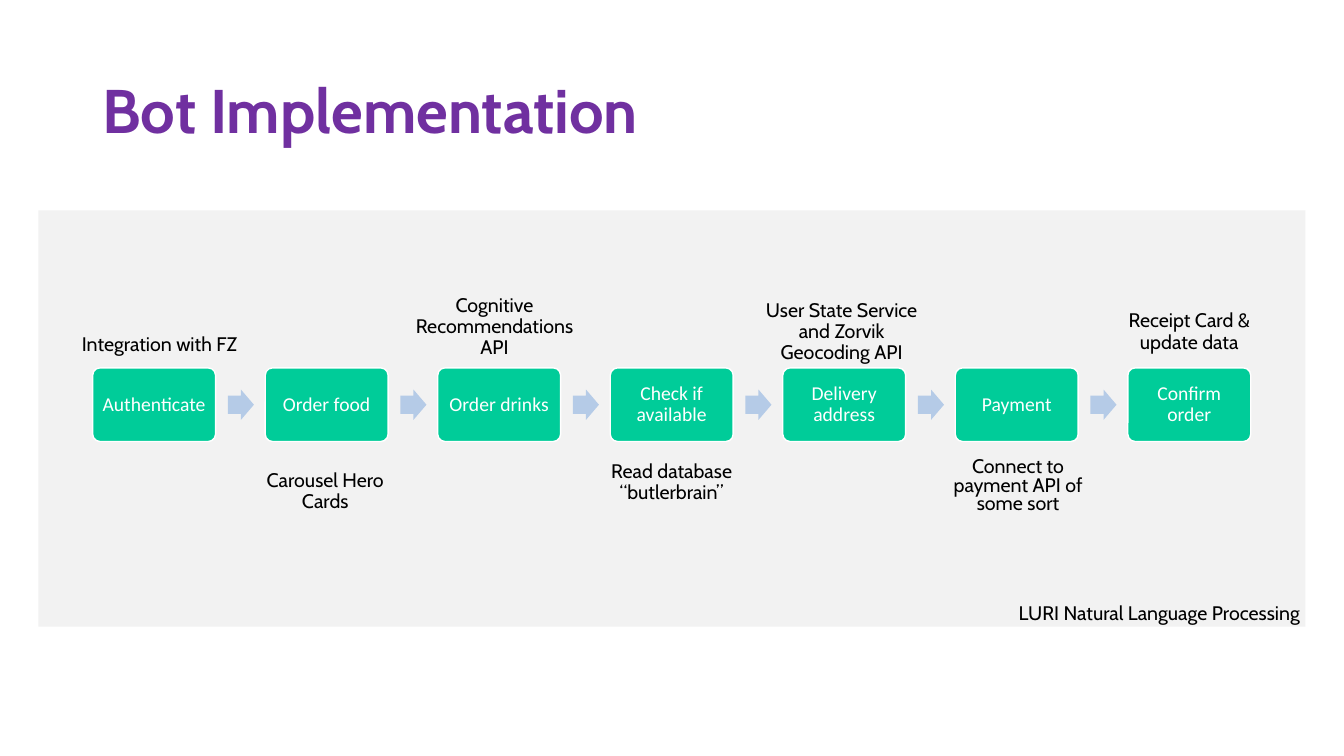
from pptx import Presentation
from pptx.dml.color import RGBColor
from pptx.enum.shapes import MSO_SHAPE
from pptx.enum.text import MSO_ANCHOR, PP_ALIGN
from pptx.util import Pt

RECT = MSO_SHAPE.RECTANGLE
ROUNDED = MSO_SHAPE.ROUNDED_RECTANGLE
ARROW = MSO_SHAPE.RIGHT_ARROW
MIDDLE = MSO_ANCHOR.MIDDLE
CENTER = PP_ALIGN.CENTER
LEFT = PP_ALIGN.LEFT

# Step label, note, note centre relative to step centre (points), line spacing
STEPS = [
    ("Authenticate", "Integration with FZ", 4, -42.5, 0.9),
    ("Order food", "Carousel Hero Cards", -1, 62.3, 0.9),
    ("Order drinks", "Cognitive Recommendations API", -3.3, -55.4, 0.9),
    ("Check if available", "Read database “butlerbrain”", 0, 55.4, 0.9),
    ("Delivery address", "User State Service and Zorvik Geocoding API",
     -1.8, -51.8, 0.9),
    ("Payment", "Connect to payment API of some sort", 1, 58.3, 0.8),
    ("Confirm order", "Receipt Card & update data", 0, -51.8, 0.9),
]


def color(value):
    return RGBColor.from_string(value)


def add_block(slide, kind, x, y, w, h, fill, line=None):
    sp = slide.shapes.add_shape(kind, Pt(x), Pt(y), Pt(w), Pt(h))
    sp.shadow.inherit = False
    sp.fill.solid()
    sp.fill.fore_color.rgb = color(fill)
    if line:
        sp.line.color.rgb = color(line)
        sp.line.width = Pt(1)
    else:
        sp.line.fill.background()
    return sp


def write(sp, text, font, size, ink, align=CENTER, spacing=0.9, bold=False):
    tf = sp.text_frame
    tf.word_wrap = True
    tf.vertical_anchor = MIDDLE
    p = tf.paragraphs[0]
    p.text = text
    p.alignment = align
    p.line_spacing = spacing
    p.font.name = font
    p.font.size = Pt(size)
    p.font.bold = bold
    p.font.color.rgb = color(ink)


def add_text(slide, text, x, y, w, h, size=14, ink="000000", **style):
    sp = slide.shapes.add_textbox(Pt(x), Pt(y), Pt(w), Pt(h))
    write(sp, text, "Cabin", size, ink, **style)


def add_title(slide, x, y, w, h):
    add_text(slide, "Bot Implementation", x, y, w, h, 44, "7030A0",
             align=LEFT, bold=True)


def add_panel(slide, x, y, w, h):
    add_block(slide, RECT, x, y, w, h, "F2F2F2")
    # Caption in the lower right corner
    add_text(slide, "LURI Natural Language Processing",
             x + w - 245, y + h - 35.5, 281.5, 52.6)


def add_flow(slide, x, y, w, h):
    step_w, arrow_w, arrow_h = 87.8, 18.6, 21.7
    note_w, note_h = 127.4, 60
    pitch = (w - step_w) / (len(STEPS) - 1)
    mid_y = y + h / 2
    for i, (label, note, dx, dy, spacing) in enumerate(STEPS):
        left = x + i * pitch
        # Step box
        sp = add_block(slide, ROUNDED, left, y, step_w, h, "00CC99", "FFFFFF")
        sp.adjustments[0] = 0.1
        tf = sp.text_frame
        tf.margin_left = tf.margin_right = Pt(5)
        tf.margin_top = tf.margin_bottom = Pt(5)
        write(sp, label, "Calibri", 14, "FFFFFF")
        # Arrow to the next step
        if i < len(STEPS) - 1:
            sp = add_block(slide, ARROW, left + step_w + 8.8,
                           mid_y - arrow_h / 2, arrow_w, arrow_h, "B5CBE7")
            sp.adjustments[0] = 0.6
            sp.adjustments[1] = 0.5
        # Note above or below the step
        add_text(slide, note, left + (step_w - note_w) / 2 + dx,
                 mid_y + dy - note_h / 2, note_w, note_h, spacing=spacing)


def main():
    prs = Presentation()
    prs.slide_width, prs.slide_height = Pt(960), Pt(540)
    slide = prs.slides.add_slide(prs.slide_layouts[6])
    add_panel(slide, 27.4, 150.3, 905, 297.4)
    add_title(slide, 66, 28.8, 828, 104.4)
    add_flow(slide, 66.2, 262.8, 827.2, 52.6)
    prs.save("out.pptx")


if __name__ == "__main__":
    main()
